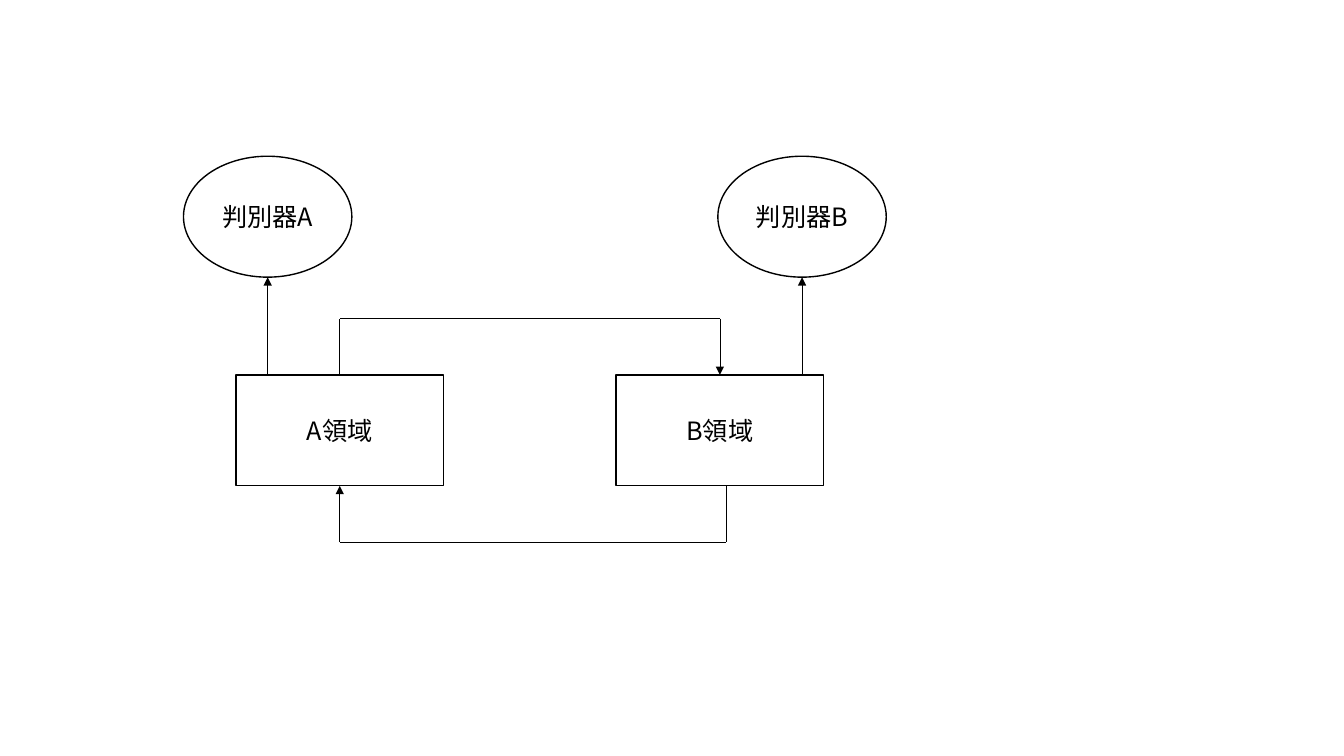
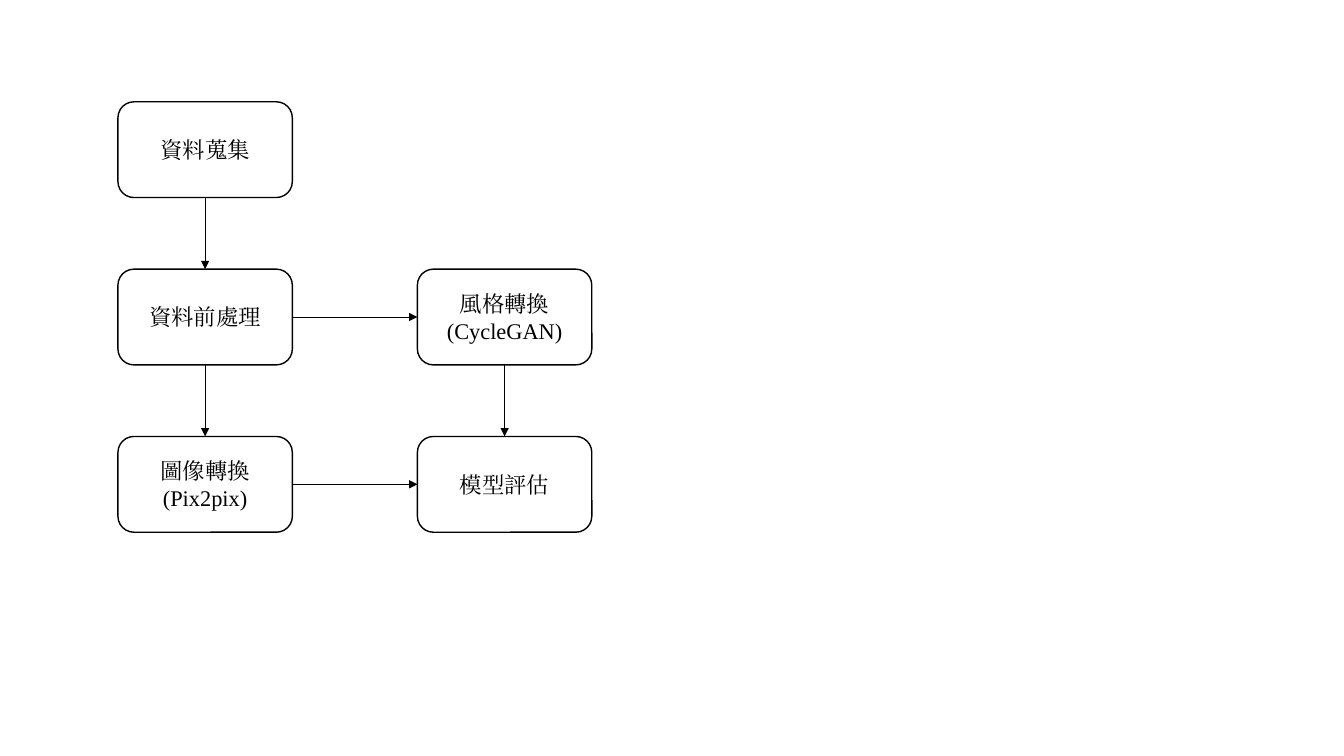
from dataclasses import dataclass
from itertools import pairwise

from lxml import etree
from pptx import Presentation
from pptx import util as u
from pptx.dml.color import RGBColor
from pptx.enum import shapes, text
from pptx.oxml.ns import qn


@dataclass(frozen=True)
class Theme:
    ink: RGBColor = RGBColor(0, 0, 0)
    paper: RGBColor = RGBColor(255, 255, 255)
    outline: float = 1
    arrow: float = 0.5
    sans: tuple = ("Noto Sans CJK SC", 18)
    serif: tuple = ("Times New Roman", 16)


THEME = Theme()
TOP, LEFT, BOTTOM, RIGHT = range(4)  # connection sites of a box


def add_node(s, kind, box, label, style):
    """Add an outlined shape; each line of the label is a paragraph."""
    sp = s.shapes.add_shape(kind, *map(u.Inches, box))
    sp.shadow.inherit = False
    sp.fill.solid()
    sp.fill.fore_color.rgb = THEME.paper
    sp.line.color.rgb = THEME.ink
    sp.line.width = u.Pt(THEME.outline)
    tf = sp.text_frame
    tf.text = label
    tf.vertical_anchor = text.MSO_ANCHOR.MIDDLE
    name, size = style
    for p in tf.paragraphs:
        p.alignment = text.PP_ALIGN.CENTER
        for r in p.runs:
            r.font.name, r.font.size = name, u.Pt(size)
            r.font.color.rgb = THEME.ink
            etree.SubElement(r.font._element, qn("a:ea"), typeface=name)
    return sp


def add_line(s, start, end, head=True):
    line = s.shapes.add_connector(shapes.MSO_CONNECTOR.STRAIGHT,
                                  *map(u.Inches, (*start, *end)))
    line.line.color.rgb = THEME.ink
    line.line.width = u.Pt(THEME.arrow)
    if head:
        etree.SubElement(line.line._get_or_add_ln(), qn("a:tailEnd"), type="triangle")
    etree.SubElement(line._element.spPr, qn("a:effectLst"))
    return line


def add_route(s, *points):
    """Join the points with lines, the last one with an arrowhead."""
    for start, end in pairwise(points):
        add_line(s, start, end, head=end == points[-1])


def link(s, source, source_site, target, target_site):
    """Glue an arrow between the connection sites of two boxes."""
    line = add_line(s, (0, 0), (0, 0))
    line.begin_connect(source, source_site)
    line.end_connect(target, target_site)


def domain_slide(s):
    width, height, top = 2.06, 1.1, 3.72
    oval_w, oval_h, oval_top = 1.67, 1.2, 1.55
    bottom, detour = top + height, 0.56
    columns = (("A", 2.34, 1.82), ("B", 6.11, 7.12))
    for name, left, oval_left in columns:
        add_node(s, shapes.MSO_SHAPE.FLOWCHART_CONNECTOR,
                 (oval_left, oval_top, oval_w, oval_h), f"判別器{name}", THEME.sans)
        add_node(s, shapes.MSO_SHAPE.RECTANGLE,
                 (left, top, width, height), f"{name}領域", THEME.sans)
        x = oval_left + oval_w / 2
        add_line(s, (x, top), (x, oval_top + oval_h))
    a, b = (left + width / 2 for _, left, _ in columns)
    b_exit = b + 0.06
    add_route(s, (a, top), (a, top - detour), (b, top - detour), (b, top))
    add_route(s, (b_exit, bottom), (b_exit, bottom + detour),
              (a, bottom + detour), (a, bottom))


def workflow_slide(s):
    left, top, width, height = 1.17, 1.01, 1.73, 0.95
    column, row = 2.97, 1.66

    def step(col, line, label):
        box = (left + col * column, top + line * row, width, height)
        return add_node(s, shapes.MSO_SHAPE.ROUNDED_RECTANGLE, box, label, THEME.serif)

    collect = step(0, 0, "資料蒐集")
    prepare = step(0, 1, "資料前處理")
    style = step(1, 1, "風格轉換\n(CycleGAN)")
    translate = step(0, 2, "圖像轉換\n(Pix2pix)")
    evaluate = step(1, 2, "模型評估")
    for upper, lower in ((collect, prepare), (prepare, translate), (style, evaluate)):
        link(s, upper, BOTTOM, lower, TOP)
    for before, after in ((prepare, style), (translate, evaluate)):
        link(s, before, RIGHT, after, LEFT)


def main():
    prs = Presentation()
    prs.slide_width, prs.slide_height = u.Inches(13.33), u.Inches(7.5)
    blank = prs.slide_layouts[6]
    for build in (domain_slide, workflow_slide):
        build(prs.slides.add_slide(blank))
    prs.save("out.pptx")


if __name__ == "__main__":
    main()
